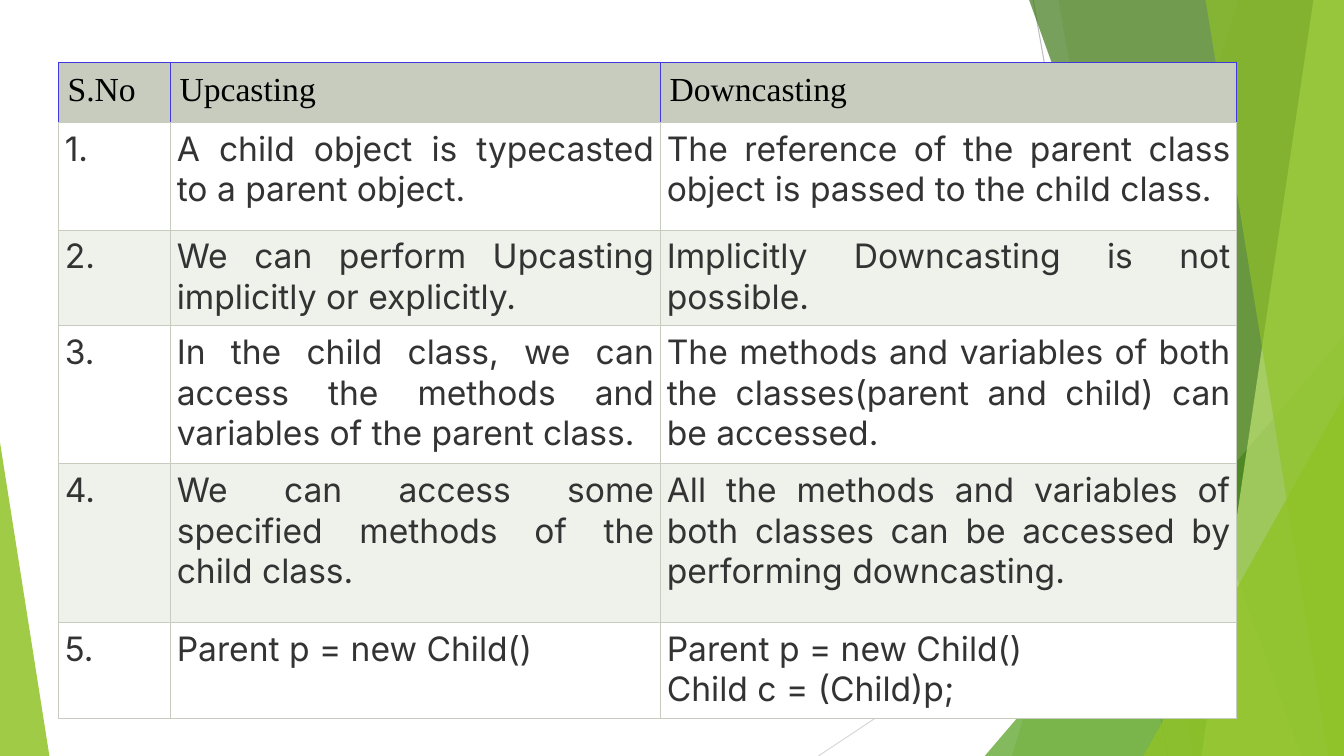
from lxml import etree
from pptx import Presentation
from pptx.dml.color import RGBColor
from pptx.enum import shapes, text
from pptx.oxml import ns
from pptx.util import Pt

COLORS = {
    "lime": "90C226", "green": "54A021", "forest": "3F7819", "pale": "C0E474",
    "ray": "BFBFBF", "light_ray": "D9D9D9",
    "header": "C7CCBE", "band": "EFF1EB", "white": "FFFFFF",
    "header_rule": "4039DE", "rule": "C7CCBE",
    "header_text": "000000", "body_text": "333333",
}
SLIDE_W, SLIDE_H = 960, 540

HEADINGS = ["S.No", "Upcasting", "Downcasting"]
COMPARISONS = [
    ("A child object is typecasted to a parent object.",
     "The reference of the parent class object is passed to the child class."),
    ("We can perform Upcasting implicitly or explicitly.",
     "Implicitly Downcasting is not possible."),
    ("In the child class, we can access the methods and variables of the parent class.",
     "The methods and variables of both the classes(parent and child) can be accessed."),
    ("We can access some specified methods of the child class.",
     "All the methods and variables of both classes can be accessed by performing downcasting."),
    ("Parent p = new Child()",
     "Parent p = new Child()\nChild c = (Child)p;"),
]
COLUMN_WIDTHS = [80, 350, 411.7]
ROW_HEIGHTS = [42.7, 77, 68.4, 98.6, 113.3, 68.4]


def rgb(name):
    return RGBColor.from_string(COLORS[name])


def paint(shape, color, opacity):
    shape.shadow.inherit = False
    shape.fill.solid()
    shape.fill.fore_color.rgb = rgb(color)
    shape.line.fill.background()
    srgb = shape.fill._xPr.find(".//" + ns.qn("a:srgbClr"))
    etree.SubElement(srgb, ns.qn("a:alpha"), val=str(opacity * 1000))


def add_ray(slide, start, end, color):
    ray = slide.shapes.add_connector(
        shapes.MSO_CONNECTOR.STRAIGHT, *(Pt(v) for v in start + end))
    ray.line.color.rgb = rgb(color)
    ray.line.width = Pt(0.75)
    etree.SubElement(ray._element.spPr, ns.qn("a:effectLst"))


def add_facet(slide, box, top_inset, bottom_inset, color, opacity):
    """Fill the box to the right of a slanted edge."""
    left, top, width, height = box
    right, bottom = left + width, top + height
    outline = slide.shapes.build_freeform(Pt(left + top_inset), Pt(top), scale=1.0)
    outline.add_line_segments([
        (Pt(right), Pt(top)), (Pt(right), Pt(bottom)),
        (Pt(left + bottom_inset), Pt(bottom))])
    paint(outline.convert_to_shape(), color, opacity)


def add_wedge(slide, box, apex, color, opacity):
    wedge = slide.shapes.add_shape(
        shapes.MSO_SHAPE.ISOSCELES_TRIANGLE, *(Pt(v) for v in box))
    wedge.adjustments[0] = apex
    paint(wedge, color, opacity)


def add_backdrop(slide, box):
    left, top, width, height = box
    right, bottom = left + width, top + height

    def right_wedge(wide, high, color, opacity):
        add_wedge(slide, (right - wide, bottom - high, wide, high), 1, color, opacity)

    # Thin rays
    add_ray(slide, (left + 738, top), (left + 834, bottom), "ray")
    add_ray(slide, (right, top + 290), (left + 584.6, bottom), "light_ray")
    # Overlapping facets on the right
    add_facet(slide, box, 884.2, 722.9, "lime", 30)
    add_facet(slide, box, 756, 851.8, "lime", 20)
    right_wedge(256.6, 300, "green", 72)
    add_facet(slide, box, 735.1, 929.5, "forest", 70)
    add_facet(slide, box, 938.2, 858.2, "pale", 70)
    add_facet(slide, box, 861.1, 949, "lime", 65)
    right_wedge(143.3, 257, "lime", 80)
    # Wedge in the lower left corner
    add_wedge(slide, (left, bottom - 224, 35.3, 224), 0, "lime", 85)


def set_borders(cell, sides):
    properties = cell._tc.get_or_add_tcPr()
    for index, (side, color) in enumerate(sides.items()):
        border = etree.Element(ns.qn(f"a:ln{side}"), w=str(Pt(0.75)))
        fill = etree.SubElement(border, ns.qn("a:solidFill"))
        etree.SubElement(fill, ns.qn("a:srgbClr"), val=COLORS[color])
        properties.insert(index, border)


def fill_cell(cell, wording, font_name, color, fill, inset, align, sides):
    cell.margin_left = cell.margin_right = Pt(inset)
    cell.margin_top = cell.margin_bottom = Pt(inset)
    cell.fill.solid()
    cell.fill.fore_color.rgb = rgb(fill)
    set_borders(cell, sides)
    paragraph = cell.text_frame.paragraphs[0]
    paragraph.alignment = align
    for number, line in enumerate(wording.split("\n")):
        if number:
            paragraph.add_line_break()
        run = paragraph.add_run()
        run.text = line
        run.font.name = font_name
        run.font.size = Pt(24)
        run.font.bold = False
        run.font.color.rgb = rgb(color)


def add_comparison(slide, box):
    frame = slide.shapes.add_table(
        len(ROW_HEIGHTS), len(COLUMN_WIDTHS), *(Pt(v) for v in box))
    comparison = frame.table
    for column, width in zip(comparison.columns, COLUMN_WIDTHS):
        column.width = Pt(width)
    for row, height in zip(comparison.rows, ROW_HEIGHTS):
        row.height = Pt(height)

    left, justify = text.PP_ALIGN.LEFT, text.PP_ALIGN.JUSTIFY
    # Heading row
    heading_sides = {**dict.fromkeys("LRT", "header_rule"), "B": "rule"}
    for c, heading in enumerate(HEADINGS):
        fill_cell(comparison.cell(0, c), heading, "Times New Roman",
                  "header_text", "header", 6.5, left, heading_sides)
    # Numbered rows in alternating bands
    for r, pair in enumerate(COMPARISONS, start=1):
        fill = "white" if r % 2 else "band"
        for c, wording in enumerate((f"{r}.", *pair)):
            align = left if "\n" in wording else justify
            fill_cell(comparison.cell(r, c), wording, "Inter", "body_text",
                      fill, 4.5, align, dict.fromkeys("LRTB", "rule"))


def main():
    deck = Presentation()
    deck.slide_width, deck.slide_height = Pt(SLIDE_W), Pt(SLIDE_H)
    slide = deck.slides.add_slide(deck.slide_layouts[6])
    slide.background.fill.solid()
    slide.background.fill.fore_color.rgb = rgb("white")
    add_backdrop(slide, (0, 0, SLIDE_W, SLIDE_H))
    add_comparison(slide, (41.8, 44.6, sum(COLUMN_WIDTHS), sum(ROW_HEIGHTS)))
    deck.save("out.pptx")


if __name__ == "__main__":
    main()
